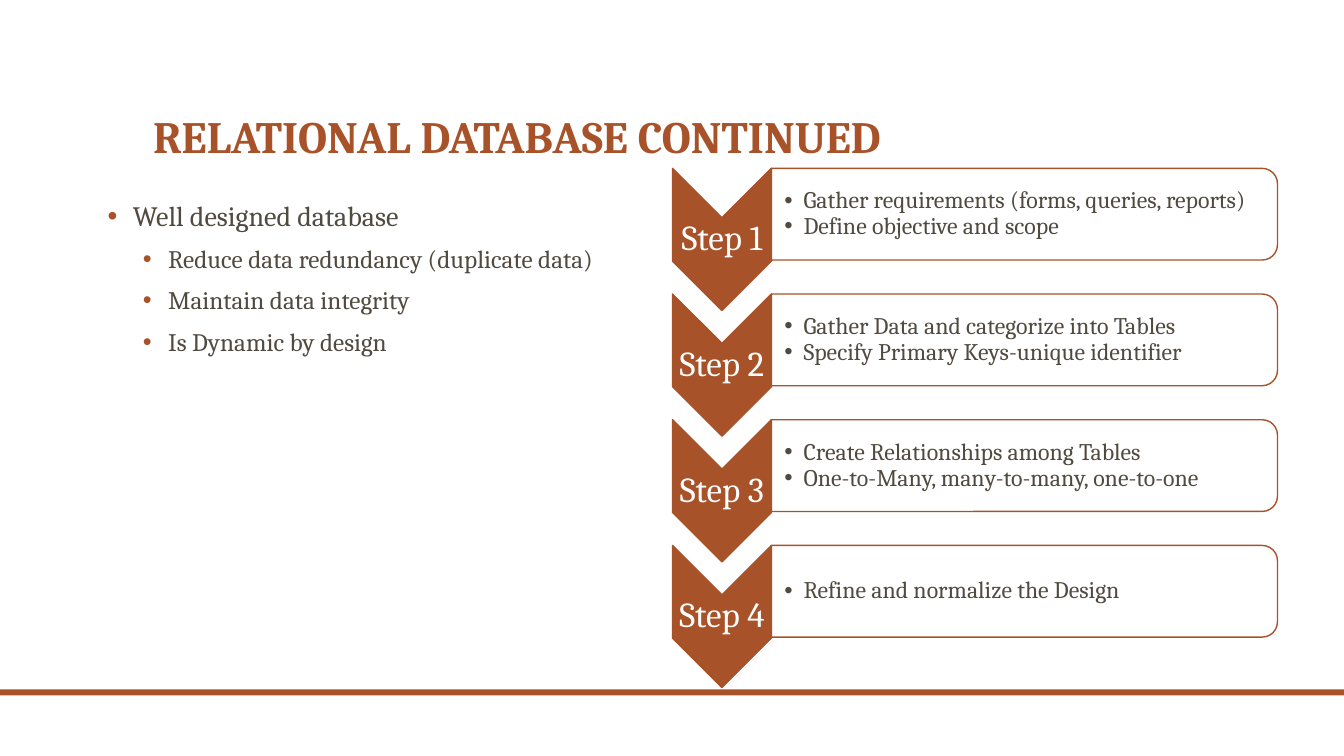
"""Build a slide on relational database design with four chevron steps."""
from lxml.etree import SubElement
from pptx import Presentation
from pptx.dml.color import RGBColor as RGB
from pptx.enum.shapes import MSO_SHAPE as SHAPE
from pptx.enum.text import MSO_ANCHOR as ANCHOR, PP_ALIGN as ALIGN
from pptx.oxml.ns import qn
from pptx.util import Inches, Pt

THEME = {
    "font": "Cambria",
    "accent": RGB.from_string("A85229"),
    "text": RGB.from_string("514A40"),
    "white": RGB.from_string("FFFFFF"),
    "title": 32, "body": 20, "sub": 18, "label": 25, "detail": 17,
}
WIDTH, HEIGHT = 13.33, 7.5
ROW_TOP, ROW_PITCH = 1.67, 1.247
CHEVRON_LONG, CHEVRON_WIDE = 1.41, 0.98
COLUMN_X, PANEL_X = 6.67, 7.65
PANEL_W, PANEL_H = 5.02, 0.91

BODY = [
    ("Well designed database", "body", 0.3, 18),
    ("Reduce data redundancy (duplicate data)", "sub", 0.65, 10),
    ("Maintain data integrity", "sub", 0.65, 10),
    ("Is Dynamic by design", "sub", 0.65, 10),
]
STEPS = [
    ["Gather requirements (forms, queries, reports)", "Define objective and scope"],
    ["Gather Data and categorize into Tables", "Specify Primary Keys-unique identifier"],
    ["Create Relationships among Tables", "One-to-Many, many-to-many, one-to-one"],
    ["Refine and normalize the Design"],
]


def add_text(box, lines, color, anchor, insets=(0.1, 0.05, 0.1, 0.05), hang=0, bullet_color=None):
    """Add a text box of (text, size name, indent, space before) lines."""
    tf = slide.shapes.add_textbox(*map(Inches, box)).text_frame
    tf.word_wrap = True
    tf.vertical_anchor = anchor
    tf.margin_left, tf.margin_top, tf.margin_right, tf.margin_bottom = map(Inches, insets)
    for i, (text, size, indent, before) in enumerate(lines):
        p = tf.add_paragraph() if i else tf.paragraphs[0]
        p.text = text
        p.line_spacing = 0.9
        p.space_before = Pt(before)
        font = p.runs[0].font
        font.name, font.size, font.color.rgb = THEME["font"], Pt(THEME[size]), THEME[color]
        if hang:
            pPr = p._p.get_or_add_pPr()
            pPr.set("marL", str(Inches(indent)))
            pPr.set("indent", str(-Inches(hang)))
            if bullet_color:
                SubElement(SubElement(pPr, qn("a:buClr")), qn("a:srgbClr"), val=str(THEME[bullet_color]))
            SubElement(pPr, qn("a:buFont"), typeface="Arial")
            SubElement(pPr, qn("a:buChar"), char="•")
    return tf


def add_block(kind, box, fill, rotation=0):
    """Add a filled shape with an accent outline."""
    sp = slide.shapes.add_shape(kind, *map(Inches, box))
    sp.rotation = rotation
    sp.shadow.inherit = False
    sp.fill.solid()
    sp.fill.fore_color.rgb = THEME[fill]
    sp.line.color.rgb = THEME["accent"]
    sp.line.width = Pt(1)
    return sp


prs = Presentation()
prs.slide_width, prs.slide_height = Inches(WIDTH), Inches(HEIGHT)
slide = prs.slides.add_slide(prs.slide_layouts[6])

footer = add_block(SHAPE.RECTANGLE, (0, 6.84, WIDTH, 0.06), "accent")
footer.line.fill.background()

tf = add_text((1.42, 0.42, 10.5, 1.25), [("RELATIONAL DATABASE CONTINUED", "title", 0, 0)],
              "accent", ANCHOR.BOTTOM)
tf.paragraphs[0].runs[0].font.bold = True
add_text((0.92, 1.96, 10.16, 1.82), BODY, "text", ANCHOR.TOP, hang=0.25, bullet_color="accent")

turn = (CHEVRON_LONG - CHEVRON_WIDE) / 2
panel_turn = (PANEL_W - PANEL_H) / 2
for i, details in enumerate(STEPS):
    y = ROW_TOP + i * ROW_PITCH
    add_block(SHAPE.CHEVRON, (COLUMN_X - turn, y + turn, CHEVRON_LONG, CHEVRON_WIDE), "accent", 90)
    label = add_text((COLUMN_X, y + CHEVRON_WIDE / 2, CHEVRON_WIDE, CHEVRON_LONG - CHEVRON_WIDE),
                     [(f"Step {i + 1}", "label", 0, 0)], "white", ANCHOR.MIDDLE, (0.02,) * 4)
    label.paragraphs[0].alignment = ALIGN.CENTER
    add_block(SHAPE.ROUND_2_SAME_RECTANGLE,
              (PANEL_X + panel_turn, y - panel_turn, PANEL_H, PANEL_W), "white", 90)
    add_text((PANEL_X, y + 0.04, 4.97, 0.83), [(d, "detail", 0.19, 0) for d in details],
             "text", ANCHOR.MIDDLE, (0.13, 0.01, 0.01, 0.01), hang=0.19)

prs.save("out.pptx")
